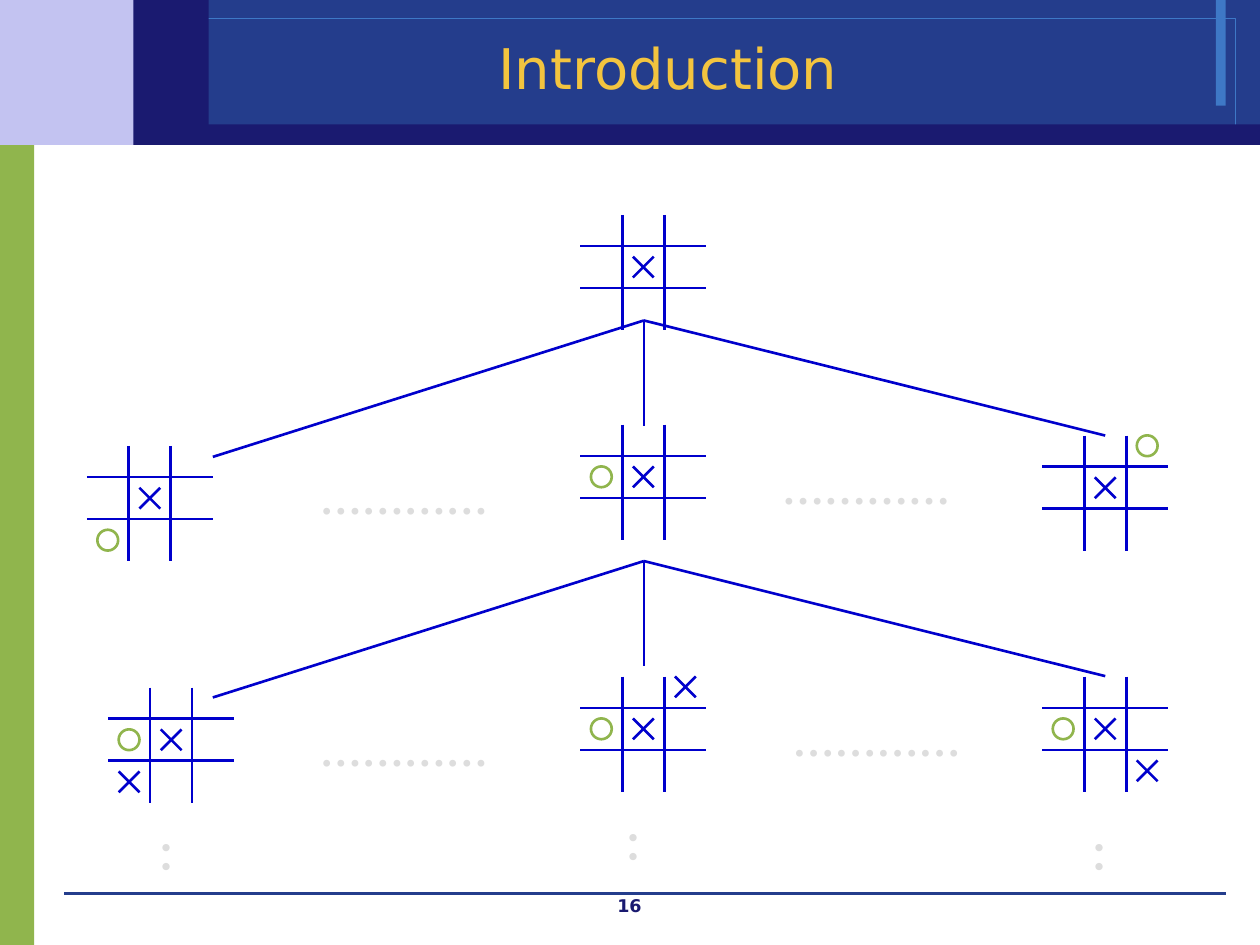
from lxml import etree
from pptx import Presentation
from pptx.dml.color import RGBColor
from pptx.enum.shapes import MSO_CONNECTOR, MSO_SHAPE
from pptx.enum.text import MSO_ANCHOR, MSO_AUTO_SIZE, PP_ALIGN
from pptx.oxml.ns import qn
from pptx.util import Cm, Pt

STRAIGHT = MSO_CONNECTOR.STRAIGHT
RECTANGLE, OVAL = MSO_SHAPE.RECTANGLE, MSO_SHAPE.OVAL
CENTER, JUSTIFY = PP_ALIGN.CENTER, PP_ALIGN.JUSTIFY
MIDDLE = MSO_ANCHOR.MIDDLE
FIXED, GROW = MSO_AUTO_SIZE.NONE, MSO_AUTO_SIZE.SHAPE_TO_FIT_TEXT

GREEN = RGBColor(0x90, 0xB5, 0x4D)
LAVENDER = RGBColor(0xC3, 0xC3, 0xF1)
BLUE = RGBColor(0x24, 0x3D, 0x8C)
SKY = RGBColor(0x3E, 0x78, 0xC6)
NAVY = RGBColor(0x1A, 0x1A, 0x70)
YELLOW = RGBColor(0xF3, 0xC4, 0x3F)
INK = RGBColor(0x00, 0x00, 0xCC)
GRAY = RGBColor(0xDD, 0xDD, 0xDD)

SANS, SERIF, CJK = "DejaVu Sans", "Times New Roman", "Noto Sans CJK SC"
CELL = 2.54 / 3
MARK = 0.42
OVERHANG = 0.63
BOARD_HEIGHT = 2.33
MIDDLE_LEFT, RIGHT_LEFT = 11.7, 21.01

PANELS = [
    (0, 2.72, 0.69, 16.33, GREEN, None),
    (0, 0, 3.89, 2.92, LAVENDER, None),
    (3.89, 0, 21.51, 2.92, BLUE, None),
    (24.51, 0, 0.2, 2.13, SKY, None),
    (3.02, 0.38, 21.89, 2.16, None, SKY),
    (3.3, 2.51, 22.1, 0.41, NAVY, None),
    (2.69, 0, 1.52, 2.92, NAVY, None),
]
BOARDS = [
    (MIDDLE_LEFT, 4.96, {}),
    (1.75, 9.62, {(2, 0): "O"}),
    (MIDDLE_LEFT, 9.19, {(1, 0): "O"}),
    (RIGHT_LEFT, 9.41, {(0, 2): "O"}),
    (2.18, 14.49, {(1, 0): "O", (2, 0): "X"}),
    (MIDDLE_LEFT, 14.27, {(1, 0): "O", (0, 2): "X"}),
    (RIGHT_LEFT, 14.27, {(1, 0): "O", (2, 2): "X"}),
]
APEX_X, APEX_TOPS = 12.98, (6.46, 11.31)
BRANCHES = [(4.29, 2.75), (APEX_X, 2.12), (22.28, 2.32)]
ROW_DOTS = [(6.2, 9.4), (15.52, 9.19), (6.2, 14.49), (15.73, 14.27)]
COLUMN_DOTS = [(2.69, 16.64), (12.09, 16.43), (21.49, 16.64)]


class TreeSlide:
    def __init__(self, page):
        self.page = page
        self.shapes = page.shapes

    def shape(self, kind, left, top, width, height, fill=None, line=None, weight=0):
        shape = self.shapes.add_shape(kind, Cm(left), Cm(top), Cm(width), Cm(height))
        shape.shadow.inherit = False
        if fill is None:
            shape.fill.background()
        else:
            shape.fill.solid()
            shape.fill.fore_color.rgb = fill
        if line is None:
            shape.line.fill.background()
        else:
            shape.line.color.rgb = line
            shape.line.width = Pt(weight)

    def line(self, x1, y1, x2, y2, color=INK, weight=1.5):
        line = self.shapes.add_connector(STRAIGHT, Cm(x1), Cm(y1), Cm(x2), Cm(y2))
        line.line.color.rgb = color
        line.line.width = Pt(weight)
        etree.SubElement(line._element.spPr, qn("a:effectLst"))

    def fill_text(self, box, text, size, font, color, bold=False, align=CENTER):
        paragraph = box.text_frame.paragraphs[0]
        paragraph.alignment = align
        span = paragraph.add_run()
        span.text = text
        style = {"size": Pt(size), "name": font, "bold": bold}
        for name, value in style.items():
            setattr(span.font, name, value)
        span.font.color.rgb = color
        east_asian = etree.SubElement(span._r.get_or_add_rPr(), qn("a:ea"))
        east_asian.set("typeface", font)
        return paragraph

    def text(self, left, top, width, height, text, auto_size=GROW, **style):
        box = self.shapes.add_textbox(Cm(left), Cm(top), Cm(width), Cm(height))
        box.text_frame.word_wrap = True
        box.text_frame.auto_size = auto_size
        self.fill_text(box, text, **style)

    def title(self, left, top, width, height, text, **style):
        box = self.shapes.title
        bounds = {"left": left, "top": top, "width": width, "height": height}
        for name, value in bounds.items():
            setattr(box, name, Cm(value))
        box.text_frame.auto_size = FIXED
        box.text_frame.vertical_anchor = MIDDLE
        self.fill_text(box, text, **style).line_spacing = 0.9
        self.shapes._spTree.append(box._element)

    def mark(self, symbol, x, y):
        left, top = x - MARK / 2, y - MARK / 2
        right, bottom = left + MARK, top + MARK
        if symbol == "O":
            self.shape(OVAL, left, top, MARK, MARK, line=GREEN, weight=1.5)
        else:
            self.line(right, top, left, bottom)
            self.line(left, top, right, bottom)

    def board(self, left, first_line, marks):
        top = first_line - OVERHANG
        for step in range(2):
            y = first_line + step * CELL
            self.line(left, y, left + 3 * CELL, y)
        for step in (1, 2):
            x = left + step * CELL
            self.line(x, top, x, top + BOARD_HEIGHT)
        for (row, column), symbol in {(1, 1): "X", **marks}.items():
            self.mark(symbol, left + (column + 0.5) * CELL, first_line + (row - 0.5) * CELL)


def main():
    deck = Presentation()
    deck.slide_width, deck.slide_height = Cm(25.4), Cm(19.05)
    slide = TreeSlide(deck.slides.add_slide(deck.slide_layouts[5]))

    for left, top, width, height, fill, line in PANELS:
        slide.shape(RECTANGLE, left, top, width, height, fill, line)
    slide.line(1.3, 18.01, 24.71, 18.01, BLUE, 0)
    slide.text(9.73, 17.91, 5.92, 0.64, "16", FIXED,
               size=10, font=SANS, color=NAVY, bold=True)
    slide.title(3.02, 0.66, 20.9, 1.57, "Introduction",
                size=32, font=SANS, color=YELLOW)

    for apex_top in APEX_TOPS:
        for x, drop in BRANCHES:
            slide.line(APEX_X, apex_top, x, apex_top + drop)
    for left, first_line, marks in BOARDS:
        slide.board(left, first_line, marks)

    dots = {"size": 24, "color": GRAY, "bold": True, "align": JUSTIFY}
    for left, top in ROW_DOTS:
        slide.text(left, top, 4.01, 1.27, "…………", font=SERIF, **dots)
    for left, top in COLUMN_DOTS:
        slide.text(left, top, 1.47, 1.27, "∶", font=CJK, **dots)

    deck.save("out.pptx")


if __name__ == "__main__":
    main()
